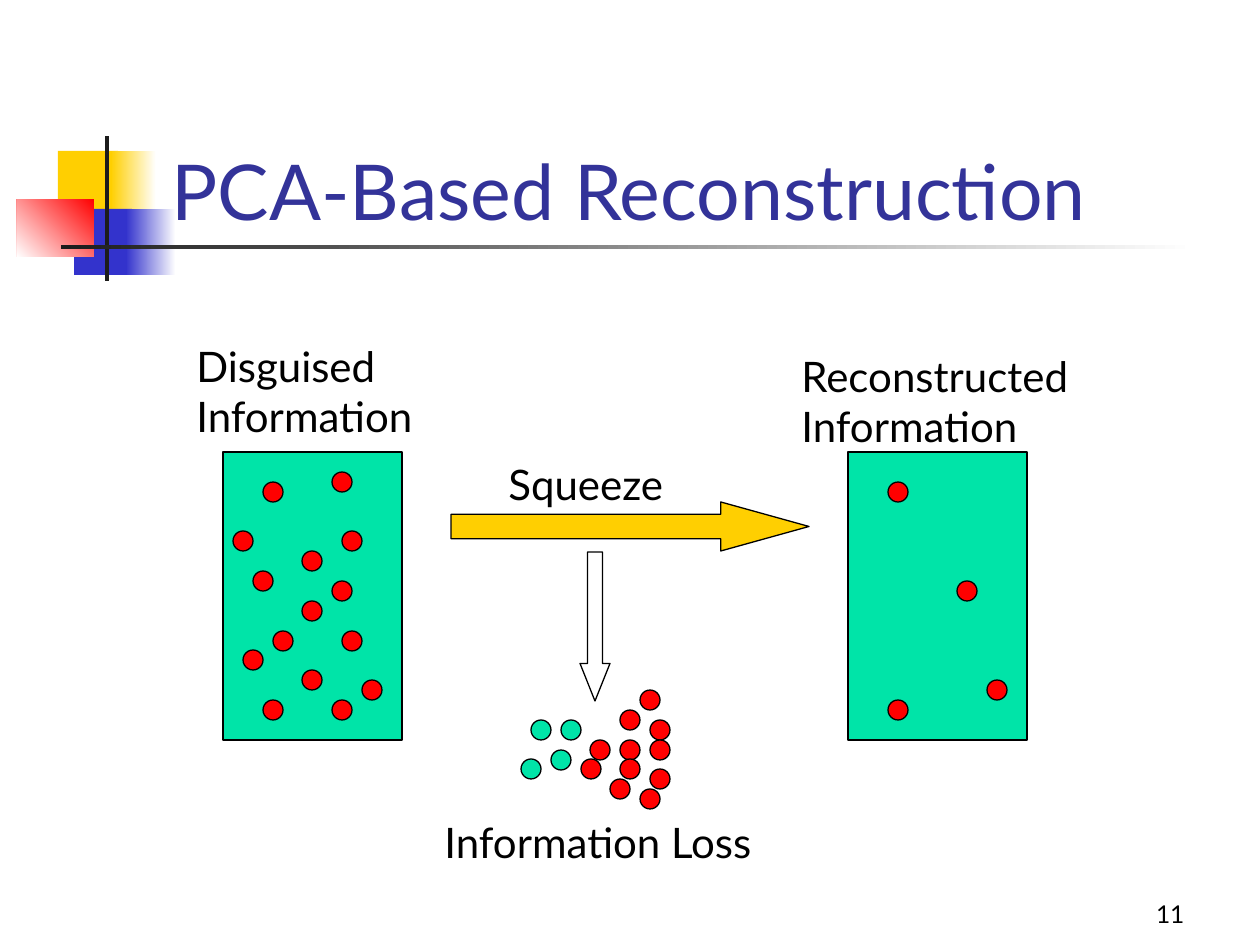
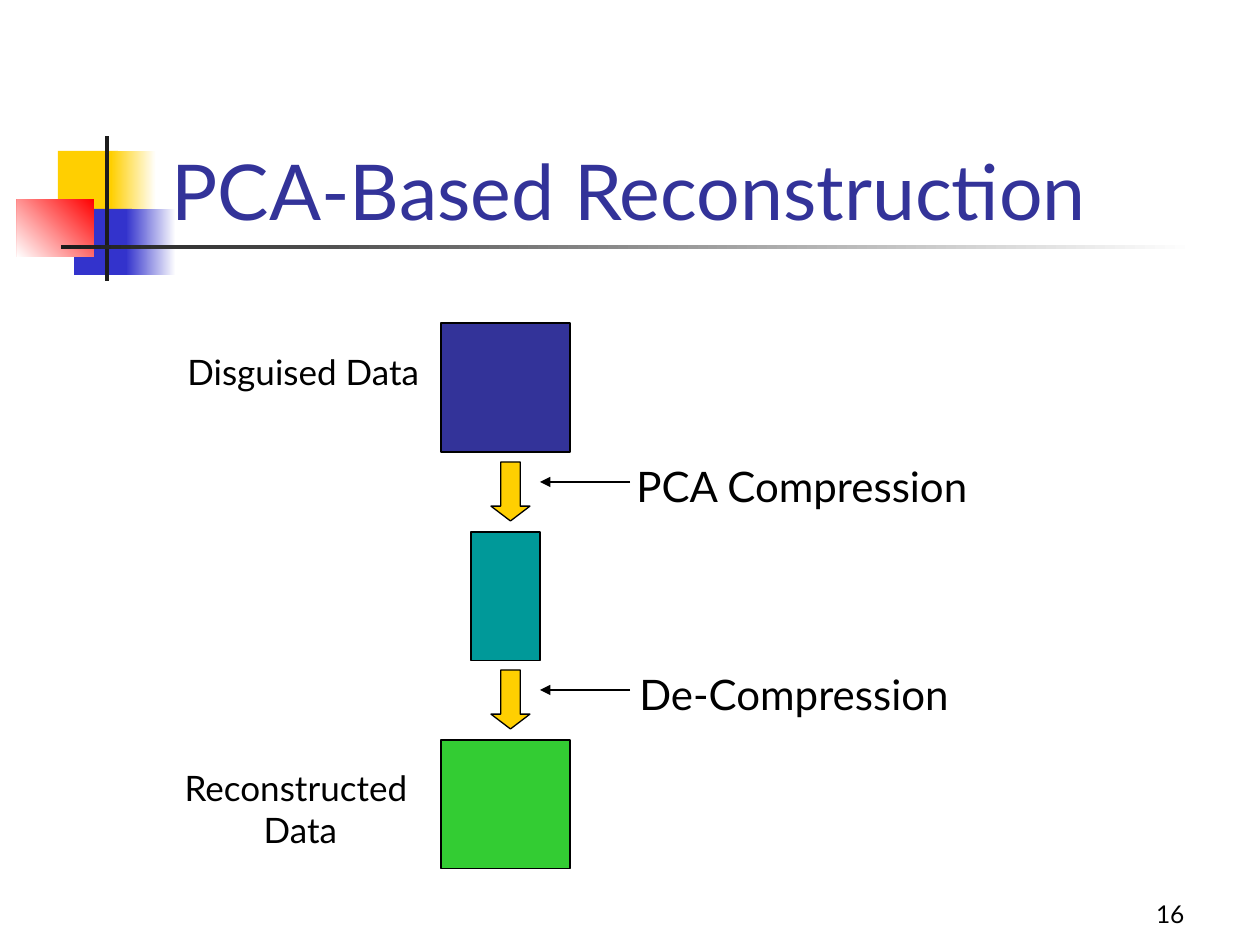
import pptx
import pptx.util
import pptx.dml.color
import pptx.enum.shapes
import pptx.enum.text
import pptx.oxml
import pptx.oxml.ns
import lxml.etree

PX = 914400 / 126
FONT = "Lato"
DOT_SIZE = 20
DOT_STEP = 9.92
COLORS = {
    "title": "333399", "text": "000000", "line": "000000", "white": "FFFFFF",
    "yellow": "FFCF01", "blue": "3333CC", "red": "FF0000", "dark": "1C1C1C",
    "mint": "00E4A8", "teal": "009999", "green": "33CC33",
}
SHAPES = pptx.enum.shapes.MSO_SHAPE
ALIGN = pptx.enum.text.PP_ALIGN
ANCHOR = pptx.enum.text.MSO_ANCHOR

DECORATION = [
    ((58, 151, 60, 66), ["yellow"], 0),
    ((111, 151, 45, 66), ["white", "yellow"], 180),
    ((74, 209, 58, 66), ["blue"], 0),
    ((126, 209, 50, 66), ["white", "blue"], 180),
    ((17, 199, 77, 58), ["red", "white"], 225),
    ((105, 136, 4, 145), ["dark"], 0),
    ((61, 245, 1134, 4), ["white", "dark"], 180),
]
DISGUISED_DOTS = [(4, 3), (11, 2), (1, 8), (12, 8), (8, 10), (3, 12), (11, 13), (8, 15),
                  (5, 18), (12, 18), (2, 20), (8, 22), (14, 23), (4, 25), (11, 25)]
RECONSTRUCTED_DOTS = [(4, 3), (11, 13), (14, 23), (4, 25)]
LOST_RED_DOTS = [(12, 0), (10, 2), (13, 3), (7, 5), (10, 5), (13, 5),
                 (6, 7), (10, 7), (13, 8), (9, 9), (12, 10)]
LOST_MINT_DOTS = [(1, 3), (4, 3), (3, 6), (0, 7)]


def emu(pixels):
    return pptx.util.Emu(round(pixels * PX))


def rgb(name):
    return pptx.dml.color.RGBColor.from_string(COLORS[name])


def add_figure(page, kind, box, fill=None, outlined=True, adjustments=()):
    shape = page.shapes.add_shape(kind, *map(emu, box))
    shape.shadow.inherit = False
    if fill:
        shape.fill.solid()
        shape.fill.fore_color.rgb = rgb(fill)
    else:
        shape.fill.background()
    if outlined:
        shape.line.color.rgb = rgb("line")
        shape.line.width = pptx.util.Pt(0.75)
    else:
        shape.line.fill.background()
    for index, value in enumerate(adjustments):
        shape.adjustments[index] = value
    return shape


def format_text(frame, size, color, align, anchor):
    frame.word_wrap = True
    frame.auto_size = pptx.enum.text.MSO_AUTO_SIZE.NONE
    frame.vertical_anchor = anchor
    for paragraph in frame.paragraphs:
        paragraph.alignment = align
        for span in paragraph.runs:
            span.font.size = pptx.util.Pt(size)
            span.font.name = FONT
            span.font.color.rgb = rgb(color)


def add_label(page, box, text, size=24, align=ALIGN.LEFT, anchor=ANCHOR.TOP):
    label = page.shapes.add_textbox(*map(emu, box))
    label.text_frame.text = text
    format_text(label.text_frame, size, "text", align, anchor)


def add_arrow(page, start, end):
    arrow = page.shapes.add_connector(
        pptx.enum.shapes.MSO_CONNECTOR.STRAIGHT, *map(emu, start + end))
    arrow.line.color.rgb = rgb("line")
    arrow.line.width = pptx.util.Pt(0.75)
    line = arrow.line._get_or_add_ln()
    lxml.etree.SubElement(line, pptx.oxml.ns.qn("a:tailEnd"), type="triangle")
    lxml.etree.SubElement(arrow.element.spPr, pptx.oxml.ns.qn("a:effectLst"))


def decorate_layout(layout, page):
    for number, (box, fills, angle) in enumerate(DECORATION):
        shape = add_figure(page, SHAPES.RECTANGLE, box, fills[0], outlined=False)
        if len(fills) > 1:
            shape.fill.gradient()
            shape.fill.gradient_angle = angle
            for stop, name in zip(shape.fill.gradient_stops, fills):
                stop.color.rgb = rgb(name)
        shape.element.nvSpPr.cNvPr.id = 100 + number
        layout.shapes.element.append(shape.element)


def add_page(deck, layout, number):
    page = deck.slides.add_slide(layout)
    title = page.shapes.title
    title.left, title.top, title.width, title.height = map(emu, (159, 84, 1074, 158))
    title.text_frame.text = "PCA-Based Reconstruction"
    format_text(title.text_frame, 44, "title", ALIGN.LEFT, ANCHOR.BOTTOM)
    add_label(page, (935, 872, 262, 63), str(number), 14, ALIGN.RIGHT, ANCHOR.BOTTOM)
    return page


def add_dots(page, left, top, cells, fill):
    for column, row in cells:
        box = (left + round(column * DOT_STEP), top + round(row * DOT_STEP), DOT_SIZE, DOT_SIZE)
        add_figure(page, SHAPES.OVAL, box, fill)


def add_information_panel(page, box, dots):
    add_figure(page, SHAPES.RECTANGLE, box, "mint")
    add_dots(page, box[0], box[1], dots, "red")


def add_squeeze(page, left, top):
    add_label(page, (left + 45, top, 190, 63), "Squeeze")
    add_figure(page, SHAPES.DOWN_ARROW, (left + 129, top + 100, 30, 149),
               adjustments=(0.5, 1.25))
    add_figure(page, SHAPES.RIGHT_ARROW, (left, top + 50, 358, 49), "yellow",
               adjustments=(0.5, 1.8))


def add_information_loss(page, left, top):
    add_dots(page, left + 89, top, LOST_RED_DOTS, "red")
    add_dots(page, left + 89, top, LOST_MINT_DOTS, "mint")
    add_label(page, (left, top + 120, 387, 63), "Information Loss")


def add_compression_column(page, left, top):
    side, pitch = 129, 209
    add_figure(page, SHAPES.RECTANGLE, (left, top, side, side), "title")
    add_figure(page, SHAPES.RECTANGLE, (left + 30, top + pitch, 69, side), "teal")
    add_figure(page, SHAPES.RECTANGLE, (left, top + 2 * pitch - 1, side, side), "green")
    add_label(page, (left - 266, top + 21, 273, 55), "Disguised Data", 20)
    add_label(page, (left - 276, top + 437, 262, 97), "Reconstructed\n Data", 20, ALIGN.CENTER)
    steps = [("PCA Compression", 183), ("De-Compression", 186)]
    for index, (text, indent) in enumerate(steps):
        step_top = top + 139 + index * (pitch - 1)
        add_figure(page, SHAPES.DOWN_ARROW, (left + 50, step_top, 39, 59), "yellow",
                   adjustments=(0.5, 0.38))
        add_arrow(page, (left + 189, step_top + 20), (left + 99, step_top + 20))
        add_label(page, (left + indent, step_top - 8, 375, 63), text)


def fill_squeeze_page(page):
    add_label(page, (184, 334, 262, 113), "Disguised\nInformation")
    add_label(page, (789, 344, 310, 113), "Reconstructed\nInformation")
    add_information_panel(page, (223, 452, 179, 288), DISGUISED_DOTS)
    add_information_panel(page, (848, 452, 179, 288), RECONSTRUCTED_DOTS)
    add_squeeze(page, 451, 452)
    add_information_loss(page, 432, 690)


def main():
    deck = pptx.Presentation()
    deck.slide_width, deck.slide_height = emu(1260), emu(945)
    layout = deck.slide_layouts[5]
    squeeze_page = add_page(deck, layout, 11)
    decorate_layout(layout, squeeze_page)
    fill_squeeze_page(squeeze_page)
    compression_page = add_page(deck, layout, 16)
    add_compression_column(compression_page, 441, 323)
    deck.save("out.pptx")


if __name__ == "__main__":
    main()
